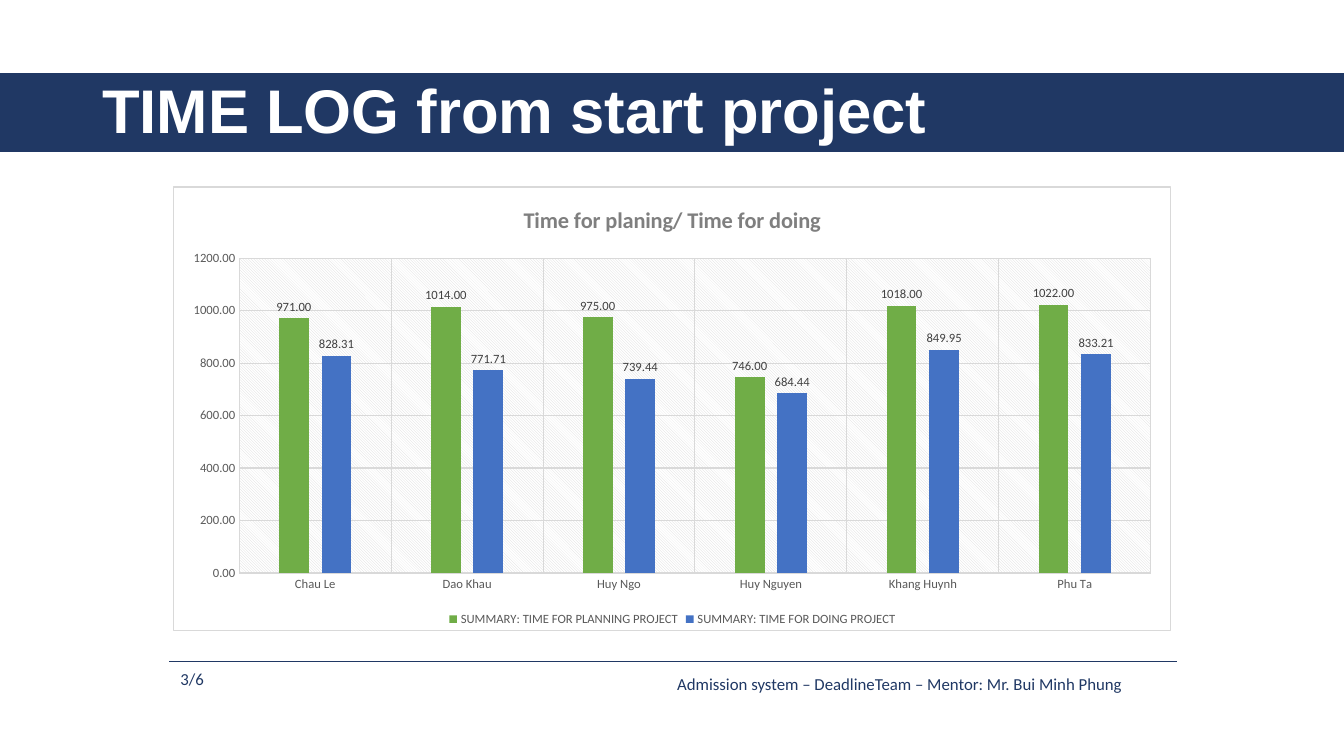
from lxml import etree
from pptx import Presentation
from pptx.chart.data import CategoryChartData
from pptx.dml.color import RGBColor
from pptx.enum.chart import XL_CHART_TYPE, XL_LABEL_POSITION, XL_LEGEND_POSITION, XL_TICK_MARK
from pptx.enum.shapes import MSO_CONNECTOR, MSO_SHAPE
from pptx.enum.text import MSO_ANCHOR
from pptx.oxml import parse_xml
from pptx.oxml.ns import nsdecls, qn
from pptx.util import Pt

NAVY = "203864"
GRID = "D9D9D9"


def color(value):
    return RGBColor.from_string(value)


def add_text(text, left, top, width, height, size=12, font="Calibri", fill=NAVY,
             bold=False, anchor=MSO_ANCHOR.TOP, spacing=1.0):
    shape = slide.shapes.add_textbox(Pt(left), Pt(top), Pt(width), Pt(height))
    frame = shape.text_frame
    frame.word_wrap = True
    frame.vertical_anchor = anchor
    paragraph = frame.paragraphs[0]
    paragraph.text = text
    paragraph.line_spacing = spacing
    paragraph.font.size = Pt(size)
    paragraph.font.name = font
    paragraph.font.bold = bold
    paragraph.font.color.rgb = color(fill)


presentation = Presentation()
presentation.slide_width = Pt(960)
presentation.slide_height = Pt(540)
slide = presentation.slides.add_slide(presentation.slide_layouts[6])

band = slide.shapes.add_shape(MSO_SHAPE.RECTANGLE, Pt(0), Pt(52.5), Pt(960), Pt(55.5))
band.shadow.inherit = False
band.fill.solid()
band.fill.fore_color.rgb = color(NAVY)
band.line.color.rgb = color(NAVY)
band.line.width = Pt(1)

add_text("TIME LOG from start project", 66, 28.8, 828, 104.4, size=44, font="Arial",
         fill="FFFFFF", bold=True, anchor=MSO_ANCHOR.MIDDLE, spacing=0.9)

footer_line = slide.shapes.add_connector(MSO_CONNECTOR.STRAIGHT, Pt(121), Pt(472.3), Pt(841), Pt(472.3))
footer_line.line.color.rgb = color(NAVY)
footer_line.line.width = Pt(0.5)
etree.SubElement(footer_line._element.spPr, qn("a:effectLst"))

add_text("Admission system – DeadlineTeam – Mentor: Mr. Bui Minh Phung", 476.6, 477.4, 365.8, 21.8)
add_text("3/6", 121.7, 473.8, 36.7, 21.8)

all_series = [
    ("SUMMARY: TIME FOR PLANNING PROJECT", "70AD47", [971, 1014, 975, 746, 1018, 1022]),
    ("SUMMARY: TIME FOR DOING PROJECT", "4472C4", [828.31, 771.71, 739.44, 684.44, 849.95, 833.21]),
]
chart_data = CategoryChartData(number_format="0.00")
chart_data.categories = ["Chau Le", "Dao Khau", "Huy Ngo", "Huy Nguyen", "Khang Huynh", "Phu Ta"]
for name, fill, values in all_series:
    chart_data.add_series(name, values)

chart = slide.shapes.add_chart(XL_CHART_TYPE.COLUMN_CLUSTERED, Pt(123.8), Pt(133.2),
                               Pt(712.8), Pt(317.5), chart_data).chart
chart.font.name = "Calibri"
chart.font.size = Pt(10)

chart.has_title = True
chart.chart_title.include_in_layout = False
title = chart.chart_title.text_frame.paragraphs[0]
title.text = "Time for planing/ Time for doing"
title.font.name = "Calibri"
title.font.size = Pt(16)
title.font.bold = True
title.font.color.rgb = color("7F7F7F")

chart.has_legend = True
chart.legend.position = XL_LEGEND_POSITION.BOTTOM
chart.legend.include_in_layout = False

for axis in (chart.category_axis, chart.value_axis):
    axis.major_tick_mark = XL_TICK_MARK.NONE
    axis.minor_tick_mark = XL_TICK_MARK.NONE
    axis.has_major_gridlines = True
    for line in (axis.major_gridlines.format.line, axis.format.line):
        line.color.rgb = color(GRID)
        line.width = Pt(0.75)
chart.value_axis.format.line.fill.background()
chart.value_axis.minimum_scale = 0
chart.value_axis.maximum_scale = 1200
chart.value_axis.major_unit = 200
chart.value_axis.tick_labels.number_format = "0.00"
chart.value_axis.tick_labels.number_format_is_linked = False

for font in (chart.category_axis.tick_labels.font, chart.value_axis.tick_labels.font, chart.legend.font):
    font.name = "Calibri"
    font.size = Pt(9)
    font.color.rgb = color("595959")

plot = chart.plots[0]
plot.gap_width = 267
plot.overlap = -43
plot.vary_by_categories = False
for series, (name, fill, values) in zip(plot.series, all_series):
    series.format.fill.solid()
    series.format.fill.fore_color.rgb = color(fill)
    labels = series.data_labels
    labels.show_value = True
    labels.position = XL_LABEL_POSITION.OUTSIDE_END
    labels.number_format = "0.00"
    labels.number_format_is_linked = False
    labels.font.name = "Calibri"
    labels.font.size = Pt(9)
    labels.font.color.rgb = color("404040")

chart_space = chart._chartSpace
chart_space.chart.plotArea.append(parse_xml(
    f'<c:spPr {nsdecls("c", "a")}><a:pattFill prst="ltDnDiag">'
    f'<a:fgClr><a:srgbClr val="{GRID}"/></a:fgClr><a:bgClr><a:srgbClr val="FFFFFF"/></a:bgClr>'
    '</a:pattFill><a:ln><a:noFill/></a:ln></c:spPr>'))
chart_space.chart.addnext(parse_xml(
    f'<c:spPr {nsdecls("c", "a")}><a:solidFill><a:srgbClr val="FFFFFF"/></a:solidFill>'
    f'<a:ln w="{Pt(0.75)}"><a:solidFill><a:srgbClr val="{GRID}"/></a:solidFill></a:ln></c:spPr>'))

presentation.save("out.pptx")
